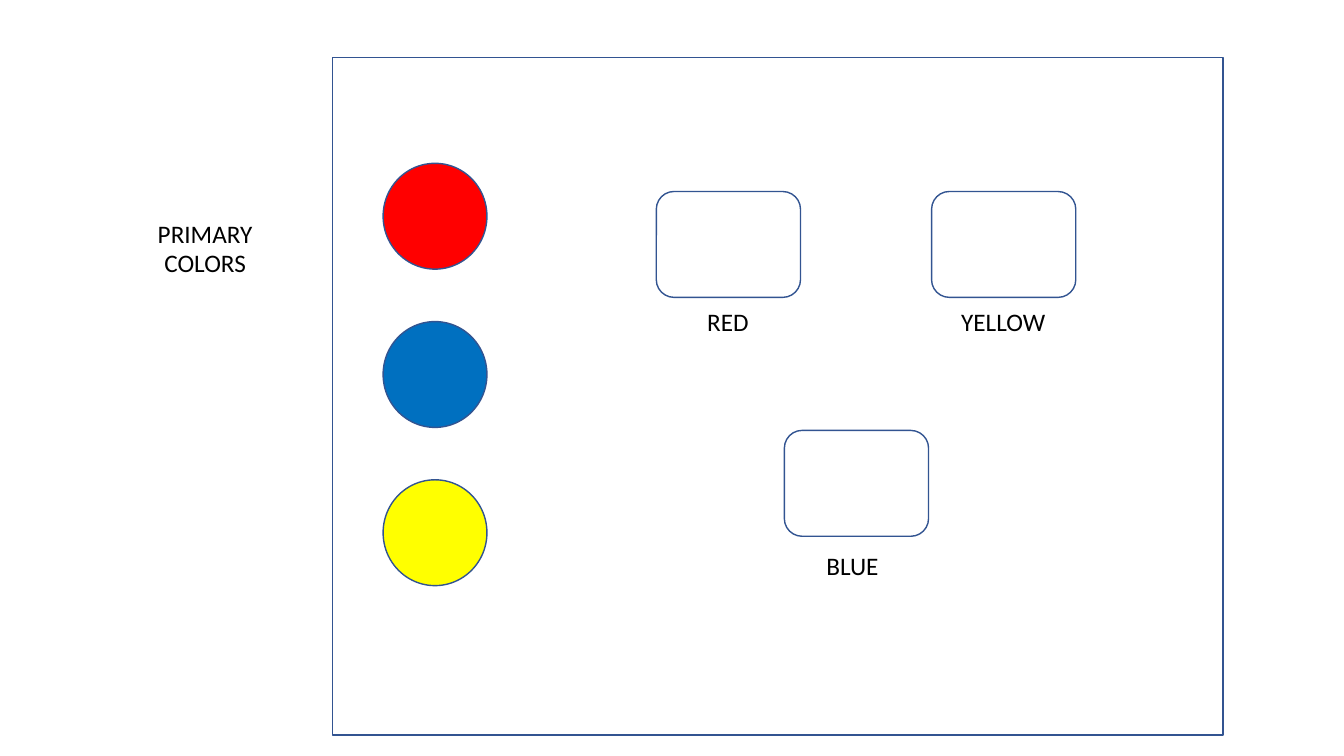
from dataclasses import dataclass

import pptx
import pptx.dml.color
import pptx.enum.shapes
import pptx.enum.text
import pptx.util

PX = 9144  # EMU per px, 100 px to the inch
SHAPE = pptx.enum.shapes.MSO_SHAPE
ALIGN = pptx.enum.text.PP_ALIGN
ANCHOR = pptx.enum.text.MSO_ANCHOR
AUTO_SIZE = pptx.enum.text.MSO_AUTO_SIZE


@dataclass(frozen=True)
class Theme:
    font: str = "Calibri"
    size: int = 18
    text: str = "000000"
    line: str = "325491"
    line_width: int = 1
    red: str = "FF0000"
    blue: str = "0070C0"
    yellow: str = "FFFF00"


def rgb(value):
    return pptx.dml.color.RGBColor.from_string(value)


def set_attrs(obj, values):
    for name, value in values.items():
        setattr(obj, name, value)


class Canvas:
    def __init__(self, slide, theme):
        self.slide = slide
        self.theme = theme

    def shape(self, kind, left, top, width, height, fill=None):
        sp = self.slide.shapes.add_shape(kind, *(v * PX for v in (left, top, width, height)))
        sp.shadow.inherit = False
        if fill:
            sp.fill.solid()
            sp.fill.fore_color.rgb = rgb(fill)
        else:
            sp.fill.background()
        sp.line.color.rgb = rgb(self.theme.line)
        sp.line.width = pptx.util.Pt(self.theme.line_width)

    def set_text(self, sp, text, wrap, spacing=1.0):
        tf = sp.text_frame
        tf.text = text
        set_attrs(tf, {"word_wrap": wrap, "auto_size": AUTO_SIZE.NONE,
                       "vertical_anchor": ANCHOR.TOP})
        p = tf.paragraphs[0]
        set_attrs(p, {"alignment": ALIGN.CENTER, "line_spacing": spacing})
        for r in p.runs:
            set_attrs(r.font, {"name": self.theme.font,
                               "size": pptx.util.Pt(self.theme.size)})
            r.font.color.rgb = rgb(self.theme.text)

    def title(self, text, left, top, width, height):
        sp = self.slide.shapes.title
        set_attrs(sp, {"left": left * PX, "top": top * PX,
                       "width": width * PX, "height": height * PX})
        self.set_text(sp, text, True, 0.95)

    def label(self, text, center, top, width, height=40):
        box = (center - width // 2, top, width, height)
        sp = self.slide.shapes.add_textbox(*(v * PX for v in box))
        self.set_text(sp, text, False)


def main():
    prs = pptx.Presentation()
    set_attrs(prs, {"slide_width": 1333 * PX, "slide_height": 750 * PX})
    theme = Theme()
    canvas = Canvas(prs.slides.add_slide(prs.slide_layouts[5]), theme)

    canvas.title("PRIMARY\vCOLORS", 146, 214, 115, 69)
    canvas.shape(SHAPE.RECTANGLE, 330, 57, 883, 672)

    for i, color in enumerate((theme.red, theme.blue, theme.yellow)):
        canvas.shape(SHAPE.OVAL, 380, 162 + 157 * i, 103, 105, color)

    box_w, box_h = 143, 105
    # name, box left, box top, label shift, gap above label, label width
    targets = (
        ("RED", 651, 190, 0, 4, 62),
        ("YELLOW", 924, 190, 0, 4, 104),
        ("BLUE", 778, 427, -4, 9, 77),
    )
    for name, left, top, shift, gap, width in targets:
        canvas.shape(SHAPE.ROUNDED_RECTANGLE, left, top, box_w, box_h)
        canvas.label(name, left + box_w // 2 + shift, top + box_h + gap, width)

    prs.save("out.pptx")


if __name__ == "__main__":
    main()
